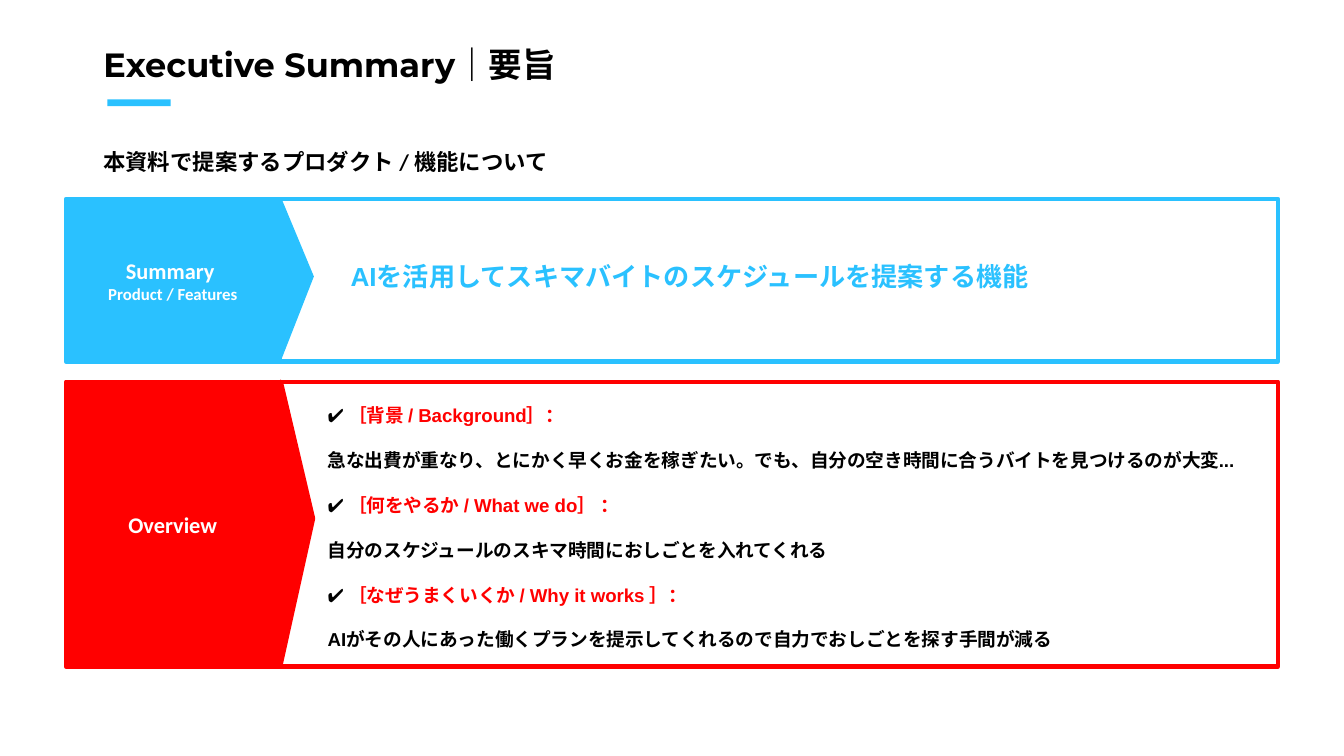
from pptx import Presentation
from pptx.dml.color import RGBColor
from pptx.enum.shapes import MSO_SHAPE
from pptx.enum.text import MSO_ANCHOR, MSO_AUTO_SIZE, PP_ALIGN
from pptx.util import Inches, Pt

RECT = MSO_SHAPE.RECTANGLE
TRIANGLE = MSO_SHAPE.ISOSCELES_TRIANGLE
MIDDLE = MSO_ANCHOR.MIDDLE
LEFT, CENTER = PP_ALIGN.LEFT, PP_ALIGN.CENTER
NO_FIT = MSO_AUTO_SIZE.NONE

BLUE = RGBColor(0x2A, 0xC1, 0xFF)
RED = RGBColor(0xFF, 0x00, 0x00)
BLACK = RGBColor(0x00, 0x00, 0x00)
WHITE = RGBColor(0xFF, 0xFF, 0xFF)

PANEL_X, PANEL_W, TAG_W = 0.49, 9.02, 1.59

POINTS = [
    ("［背景 / Background］：",
     "急な出費が重なり、とにかく早くお金を稼ぎたい。でも、自分の空き時間に合うバイトを見つけるのが大変..."),
    ("［何をやるか / What we do］ ：",
     "自分のスケジュールのスキマ時間におしごとを入れてくれる"),
    ("［なぜうまくいくか / Why it works ］：",
     "AIがその人にあった働くプランを提示してくれるので自力でおしごとを探す手間が減る"),
]


def run(text, size, font, color, bold=True):
    return text, size, font, color, bold


def write(shape, paras, align=LEFT, space=1.0):
    """Fill a shape with paragraphs, each a list of runs."""
    frame = shape.text_frame
    frame.word_wrap = True
    frame.auto_size = NO_FIT
    frame.vertical_anchor = MIDDLE
    frame.margin_left = frame.margin_right = Inches(0.1)
    frame.margin_top = frame.margin_bottom = Inches(0.1)
    for i, runs in enumerate(paras):
        para = frame.add_paragraph() if i else frame.paragraphs[0]
        para.alignment = align
        para.line_spacing = space
        para.space_before = Pt(0)
        for text, size, font, color, bold in runs:
            part = para.add_run()
            part.text = text
            part.font.size = Pt(size)
            part.font.name = font
            part.font.color.rgb = color
            part.font.bold = bold


def add_text(slide, box, paras, space):
    write(slide.shapes.add_textbox(*map(Inches, box)), paras, space=space)


def add_block(slide, kind, box, fill=None, line=None, width=2.25):
    shape = slide.shapes.add_shape(kind, *map(Inches, box))
    shape.shadow.inherit = False
    if fill is None:
        shape.fill.background()
    else:
        shape.fill.solid()
        shape.fill.fore_color.rgb = fill
    if line is None:
        shape.line.fill.background()
    else:
        shape.line.color.rgb = line
        shape.line.width = Pt(width)
    return shape


def add_panel(slide, box, color, label, edge):
    """Outlined box with a filled tag on the left that points to the right."""
    x, y, w, h = box
    add_block(slide, RECT, (x + TAG_W, y, w - TAG_W, h), line=color)
    tag = add_block(slide, RECT, (x, y, TAG_W, h), color, color)
    write(tag, label, CENTER)
    span, depth = h - 0.02, 0.24
    mid_x, mid_y = x + TAG_W + 0.13, y + h / 2 - 0.01
    tip = add_block(slide, TRIANGLE,
                    (mid_x - span / 2, mid_y - depth / 2, span, depth),
                    color, color, edge)
    tip.adjustments[0] = 0.485
    tip.rotation = 90


def add_header(slide, box):
    x, y, w, h = box
    title = slide.shapes.title
    title.left, title.top = Inches(x), Inches(y)
    title.width, title.height = Inches(w), Inches(h)
    write(title, [[run("Executive Summary｜", 18, "Montserrat", BLACK),
                   run("要旨", 18, "Calibri", BLACK)]])
    add_block(slide, RECT, (x + 0.13, y + 0.46, 0.47, 0.05), BLUE)
    add_text(slide, (x, y + 0.67, 4.96, h),
             [[run("本資料で提案するプロダクト / 機能について", 12, "Calibri", BLACK)]], 1.5)


def add_summary(slide, box):
    x, y, w, h = box
    label = [[run("Summary ", 12, "Calibri", WHITE)],
             [run("Product / Features", 9, "Calibri", WHITE)]]
    add_panel(slide, box, BLUE, label, 0.75)
    add_text(slide, (x + 2.02, y - 0.08, w - 2.03, h + 0.07),
             [[run("AIを活用してスキマバイトのスケジュールを提案する機能", 14, "Arial", BLUE)]], 1.15)


def add_overview(slide, box):
    x, y, w, h = box
    add_panel(slide, box, RED, [[run("Overview", 12, "Calibri", WHITE)]], 2.25)
    paras = []
    for head, body in POINTS:
        paras.append([run("✔️ ", 10, "Arial", BLACK, False),
                      run(head, 10, "Arial", RED)])
        paras.append([run(body, 10, "Arial", BLACK)])
    add_text(slide, (x + 1.85, y + 0.01, 7.33, h - 0.14), paras, 2.0)


def main():
    deck = Presentation()
    deck.slide_width = Inches(10)
    deck.slide_height = deck.slide_width * 9 // 16
    slide = deck.slides.add_slide(deck.slide_layouts[5])
    add_header(slide, (0.67, 0.28, 4.06, 0.4))
    add_summary(slide, (PANEL_X, 1.48, PANEL_W, 1.21))
    add_overview(slide, (PANEL_X, 2.84, PANEL_W, 2.12))
    deck.save("out.pptx")


if __name__ == "__main__":
    main()
